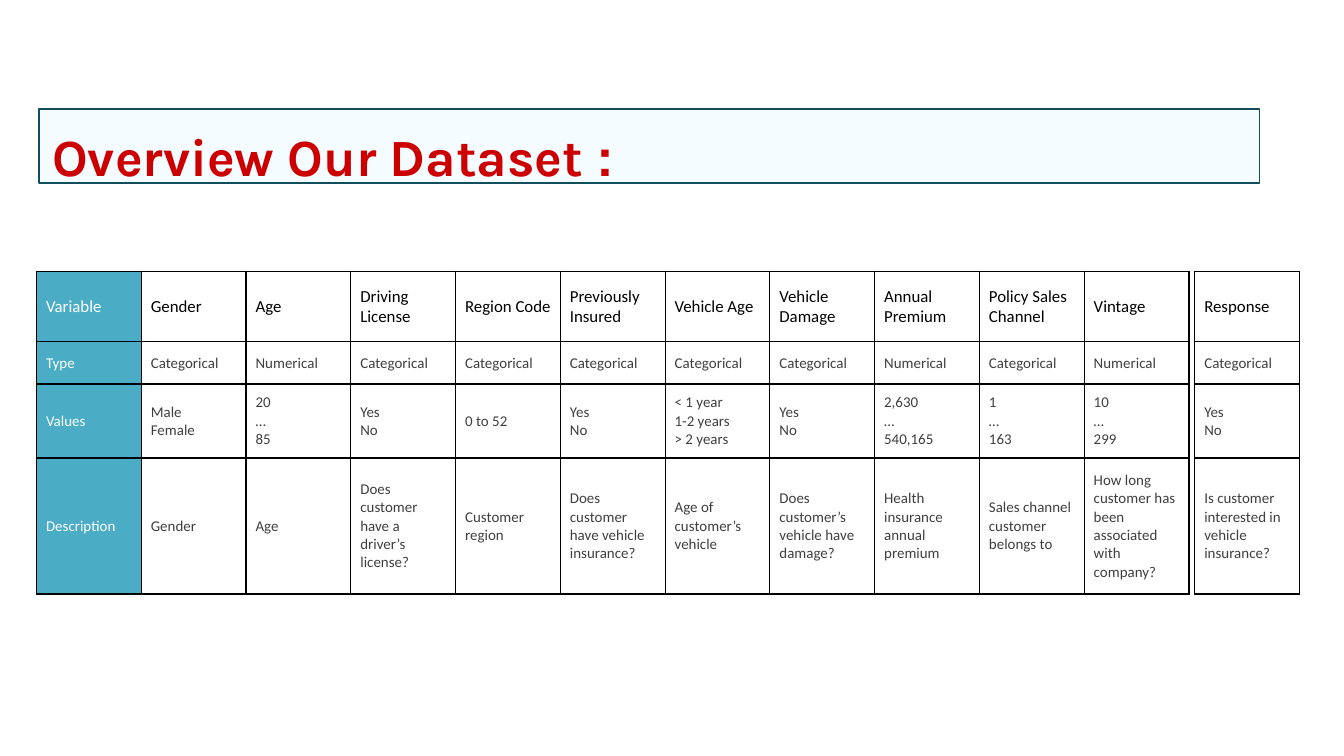
from dataclasses import dataclass

from lxml.etree import SubElement
from pptx import Presentation
from pptx.dml.color import RGBColor
from pptx.enum.text import MSO_ANCHOR, MSO_AUTO_SIZE, PP_ALIGN
from pptx.oxml.ns import qn
from pptx.slide import Slide
from pptx.table import _Cell as Cell
from pptx.util import Cm, Pt


@dataclass(frozen=True)
class Theme:
    teal: RGBColor = RGBColor(0x4B, 0xAC, 0xC6)
    white: RGBColor = RGBColor(0xFF, 0xFF, 0xFF)
    black: RGBColor = RGBColor(0, 0, 0)
    gray: RGBColor = RGBColor(0x3F, 0x3F, 0x3F)
    red: RGBColor = RGBColor(0xCC, 0, 0)
    pale: RGBColor = RGBColor(0xF5, 0xFC, 0xFF)
    edge: RGBColor = RGBColor(0x12, 0x4F, 0x5C)
    line: Pt = Pt(0.75)
    title: Pt = Pt(28)
    head: Pt = Pt(9)
    body: Pt = Pt(8)


@dataclass(frozen=True)
class Field:
    """One column: a variable of the dataset."""
    name: str
    type: str
    values: str
    about: str
    label: bool = False

    def cells(self) -> tuple[str, ...]:
        return self.name, self.type, self.values, self.about


THEME = Theme()
TOP = Cm(5.13)
WIDTH = Cm(1.98)
ROWS = (Cm(1.33), Cm(0.8), Cm(1.4), Cm(2.57))
CAT, NUM, YES_NO = "Categorical", "Numerical", "Yes\nNo"

INPUTS = [
    Field("Variable", "Type", "Values", "Description", label=True),
    Field("Gender", CAT, "Male\nFemale", "Gender"),
    Field("Age", NUM, "20\n…\n85", "Age"),
    Field("Driving License", CAT, YES_NO,
          "Does customer have a driver’s license?"),
    Field("Region Code", CAT, "0 to 52", "Customer region"),
    Field("Previously Insured", CAT, YES_NO,
          "Does customer have vehicle insurance?"),
    Field("Vehicle Age", CAT, "< 1 year\v1-2 years\n> 2 years",
          "Age of customer’s vehicle"),
    Field("Vehicle Damage", CAT, YES_NO,
          "Does customer’s vehicle have damage?"),
    Field("Annual Premium", NUM, "2,630\n…\n540,165",
          "Health insurance annual premium"),
    Field("Policy Sales Channel", CAT, "1\n…\n163",
          "Sales channel customer belongs to"),
    Field("Vintage", NUM, "10\n…\n299",
          "How long customer has been associated with company?"),
]
TARGET = [Field("Response", CAT, YES_NO,
                "Is customer interested in vehicle insurance?")]


def add_border(cell: Cell) -> None:
    props = cell._tc.get_or_add_tcPr()
    for spot, side in enumerate(("lnL", "lnR", "lnT", "lnB")):
        line = SubElement(props, qn(f"a:{side}"), w=str(THEME.line))
        fill = SubElement(line, qn("a:solidFill"))
        SubElement(fill, qn("a:srgbClr"), val=str(THEME.black))
        props.insert(spot, line)  # borders must come before the fill


def fill_cell(cell: Cell, text: str, head: bool, label: bool) -> None:
    cell.text = text
    cell.vertical_anchor = MSO_ANCHOR.MIDDLE
    cell.margin_left = cell.margin_right = Cm(0.18)
    cell.margin_top = cell.margin_bottom = Cm(0.09)
    if label:
        cell.fill.solid()
        cell.fill.fore_color.rgb = THEME.teal
        color = THEME.white
    else:
        cell.fill.background()
        color = THEME.black if head else THEME.gray
    for para in cell.text_frame.paragraphs:
        para.font.name = "Calibri"
        para.font.size = THEME.head if head else THEME.body
        para.font.bold = False
        para.font.color.rgb = color
    add_border(cell)


def add_fields(slide: Slide, left: Cm, fields: list[Field]) -> None:
    table = slide.shapes.add_table(len(ROWS), len(fields), left, TOP,
                                   WIDTH * len(fields), sum(ROWS)).table
    table.first_row = table.horz_banding = False
    for row, height in zip(table.rows, ROWS):
        row.height = height
    for x, field in enumerate(fields):
        table.columns[x].width = WIDTH
        for y, text in enumerate(field.cells()):
            fill_cell(table.cell(y, x), text, y == 0, field.label)


def set_title(slide: Slide) -> None:
    title = slide.shapes.title
    title.left, title.top = Cm(0.74), Cm(2.06)
    title.width, title.height = Cm(23.06), Cm(1.4)
    title.fill.solid()
    title.fill.fore_color.rgb = THEME.pale
    title.line.color.rgb = THEME.edge
    title.line.width = THEME.line
    frame = title.text_frame
    frame.auto_size = MSO_AUTO_SIZE.NONE
    frame.vertical_anchor = MSO_ANCHOR.TOP
    frame.margin_left, frame.margin_top = Cm(0.25), Cm(0.28)
    frame.margin_right = frame.margin_bottom = 0
    para = frame.paragraphs[0]
    para.alignment = PP_ALIGN.LEFT
    para.font.size = THEME.title
    para.font.bold = True
    para.font.color.rgb = THEME.red
    for text, font in (("Overview Our Dataset ", "Karla"), (":", "Arial")):
        run = para.add_run()
        run.text = text
        run.font.name = font


def main() -> None:
    deck = Presentation()
    deck.slide_width, deck.slide_height = Cm(25.4), Cm(14.29)
    slide = deck.slides.add_slide(deck.slide_layouts.get_by_name("Title Only"))
    add_fields(slide, Cm(0.69), INPUTS)
    add_fields(slide, Cm(22.58), TARGET)
    set_title(slide)
    deck.save("out.pptx")


if __name__ == "__main__":
    main()
